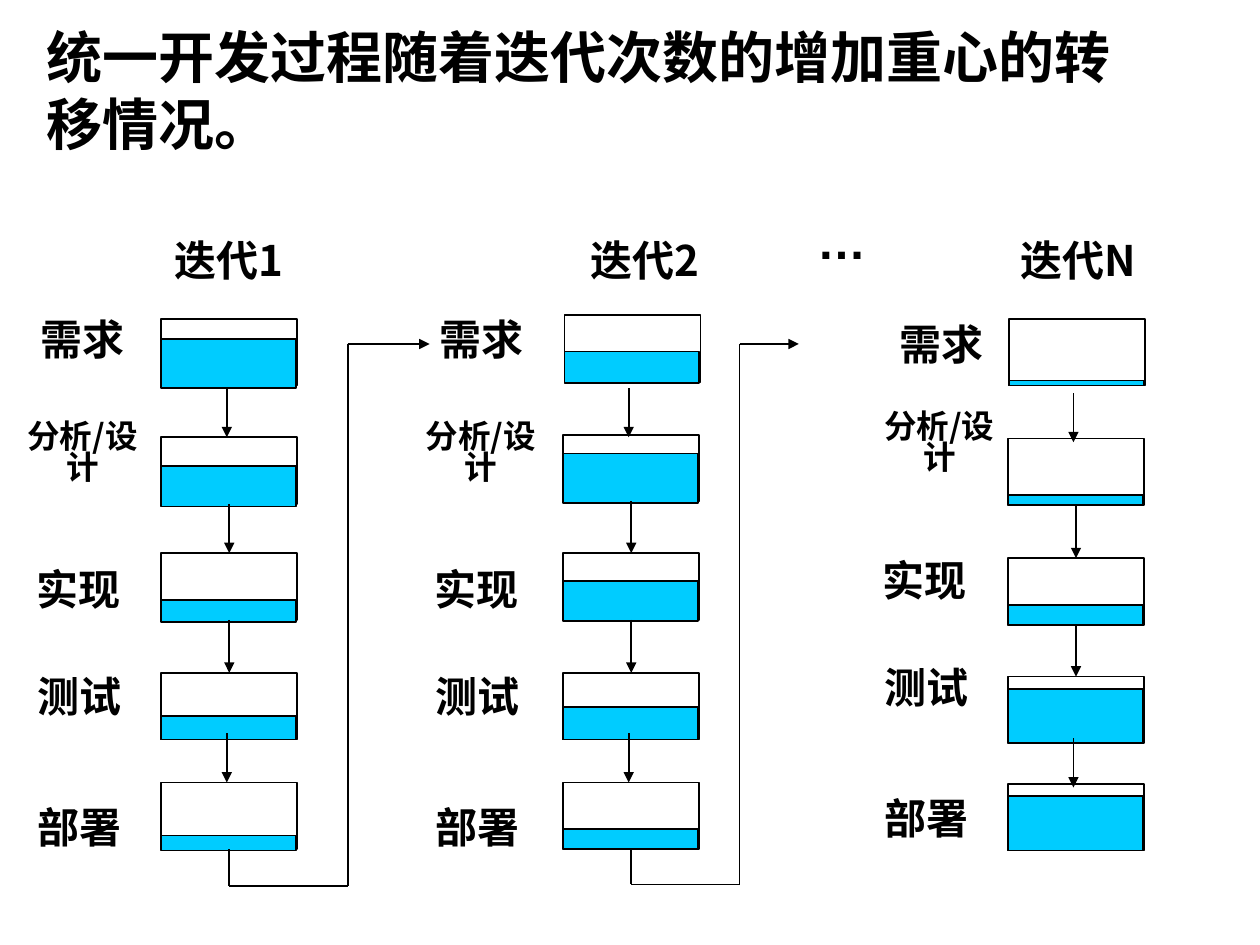
from itertools import pairwise

from lxml.etree import SubElement
from pptx import Presentation
from pptx.dml.color import RGBColor
from pptx.enum.shapes import MSO_CONNECTOR, MSO_SHAPE
from pptx.enum.text import MSO_ANCHOR, PP_ALIGN
from pptx.oxml.ns import qn
from pptx.util import Inches, Pt

BLACK, WHITE, CYAN = "000000", "FFFFFF", "00CCFF"
CJK = "Noto Sans CJK SC"
BOX_WIDTH, BOX_HEIGHT, FILL_WIDTH = 10.8, 5.3, 10.7

PHASES = {
    "需求": dict(width=7.1, height=5.2),
    "分析/设计": dict(width=10.7, height=8.5, size=18.6, line_spacing=0.8),
    "实现": dict(width=8.4, height=4),
    "测试": dict(width=8.6, height=5.4),
    "部署": dict(width=8.6, height=5.3),
}

ITERATIONS = [
    dict(
        title="迭代1", title_left=12.8, arrow_shift=0,
        labels=[(3, 24.9), (1.2, 33.6), (2, 44.7), (2, 53.2), (2, 63.6)],
        boxes=[(12.8, 25.3), (12.8, 34.7), (12.8, 43.9), (12.8, 53.4), (12.8, 62.1)],
        efforts=[(26.9, 3.9), (37, 3.2), (47.6, 1.8), (56.8, 1.9), (66.3, 1.2)],
        turn=(27.6, 70.3, 34.1),
    ),
    dict(
        title="迭代2", title_left=45.8, arrow_shift=0,
        labels=[(34.7, 24.9), (32.8, 33.6), (33.6, 44.7), (33.6, 53.2), (33.6, 63.6)],
        boxes=[(44.8, 25), (44.7, 34.5), (44.7, 43.9), (44.7, 53.4), (44.7, 62.1)],
        efforts=[(27.9, 2.5), (36, 3.9), (46.1, 3.2), (56.1, 2.6), (65.8, 1.6)],
        turn=(58.7, 70.2, 63.4),
    ),
    dict(
        title="迭代N", title_left=80.2, arrow_shift=0.4,
        labels=[(71.2, 25.3), (69.2, 32.8), (69.2, 44), (69.2, 52.5), (69.2, 62.9)],
        boxes=[(80.1, 25.3), (80, 34.8), (80, 44.3), (80, 53.7), (80, 62.2)],
        efforts=[(30.2, 0.4), (39.3, 0.8), (48, 1.6), (54.7, 4.3), (63.2, 4.3)],
        turn=None,
    ),
]


def color(value):
    return RGBColor.from_string(value)


def apply(target, formats):
    for name, value in formats.items():
        setattr(target, name, value)


class Diagram:
    """Draws styled elements on a slide grid of 100 columns by 75 rows."""

    def __init__(self, presentation):
        self.slide = presentation.slides.add_slide(presentation.slide_layouts[6])
        self.column = presentation.slide_width / 100
        self.row = presentation.slide_height / 75

    def place(self, *lengths):
        units = (self.column, self.row) * 2
        return [round(length * unit) for length, unit in zip(lengths, units)]

    def box(self, left, top, width, height, fill=WHITE, outlined=True):
        shape = self.slide.shapes.add_shape(
            MSO_SHAPE.RECTANGLE, *self.place(left, top, width, height))
        shape.shadow.inherit = False
        shape.fill.solid()
        shape.fill.fore_color.rgb = color(fill)
        if outlined:
            shape.line.color.rgb = color(BLACK)
            shape.line.width = Pt(1)
        else:
            shape.line.fill.background()
        return shape

    def set_text(self, shape, text, size, font=CJK, align=PP_ALIGN.CENTER,
                 line_spacing=1.0, margins=(0, 0)):
        across, down = (Inches(margin) for margin in margins)
        frame = shape.text_frame
        apply(frame, dict(word_wrap=True, vertical_anchor=MSO_ANCHOR.TOP,
                          margin_left=across, margin_right=across,
                          margin_top=down, margin_bottom=down))
        paragraph = frame.paragraphs[0]
        apply(paragraph, dict(alignment=align, line_spacing=line_spacing))
        run = paragraph.add_run()
        run.text = text
        apply(run.font, dict(name=font, size=Pt(size), bold=True))
        run.font.color.rgb = color(BLACK)
        SubElement(run.font._element, qn("a:ea"), typeface=font)

    def label(self, text, left, top, width, height, size=24, line_spacing=1.0):
        shape = self.box(left, top, width, height, outlined=False)
        self.set_text(shape, text, size, line_spacing=line_spacing)

    def text(self, text, left, top, width, height, size, **formats):
        shape = self.slide.shapes.add_textbox(*self.place(left, top, width, height))
        self.set_text(shape, text, size, margins=(0.1, 0.05), **formats)

    def line(self, start, end, arrow=False):
        connector = self.slide.shapes.add_connector(
            MSO_CONNECTOR.STRAIGHT, *self.place(*start, *end))
        connector.line.color.rgb = color(BLACK)
        connector.line.width = Pt(1)
        properties = connector._element.spPr
        if arrow:
            SubElement(properties.find(qn("a:ln")), qn("a:tailEnd"), type="triangle")
        SubElement(properties, qn("a:effectLst"))
        return connector

    def phase_arrows(self, boxes, middle, shift):
        for index, top in enumerate((30.8, 40.1, 49.3, 58.2)):
            inner = index in (1, 2)
            x, y = middle if inner else middle - 0.2, top + shift
            arrow = self.line((x, y), (x, y + 3.9), arrow=True)
            if inner:
                arrow.begin_connect(boxes[index], 2)
                arrow.end_connect(boxes[index + 1], 0)

    def next_iteration(self, box, middle, bottom, turn):
        side, low, end = turn
        points = [(middle, bottom), (middle, low), (side, low), (side, 27.3), (end, 27.3)]
        segments = [self.line(*pair, arrow=pair[1] == points[-1]) for pair in pairwise(points)]
        segments[0].begin_connect(box, 2)

    def iteration(self, title, title_left, arrow_shift, labels, boxes, efforts, turn):
        self.label(title, title_left, 18.6, 10.7, 4.9)
        for (text, formats), position in zip(PHASES.items(), labels):
            self.label(text, *position, **formats)
        frames = []
        for (left, top), (effort_top, effort) in zip(boxes, efforts):
            frames.append(self.box(left, top, BOX_WIDTH, BOX_HEIGHT))
            self.box(left, effort_top, FILL_WIDTH, effort, fill=CYAN)
        left, top = boxes[-1]
        middle = left + BOX_WIDTH / 2
        self.phase_arrows(frames, middle, arrow_shift)
        if turn:
            self.next_iteration(frames[-1], middle, top + BOX_HEIGHT, turn)


def main():
    presentation = Presentation()
    apply(presentation, dict(slide_width=Inches(10), slide_height=Inches(7.5)))
    diagram = Diagram(presentation)
    for iteration in ITERATIONS:
        diagram.iteration(**iteration)
    diagram.text("统一开发过程随着迭代次数的增加重心的转移情况。",
                 2.7, 1.3, 90.6, 11.7, 32, align=PP_ALIGN.LEFT)
    diagram.text("…", 63.1, 16.2, 7.4, 5.7, 28, font="Arial")
    presentation.save("out.pptx")


if __name__ == "__main__":
    main()
